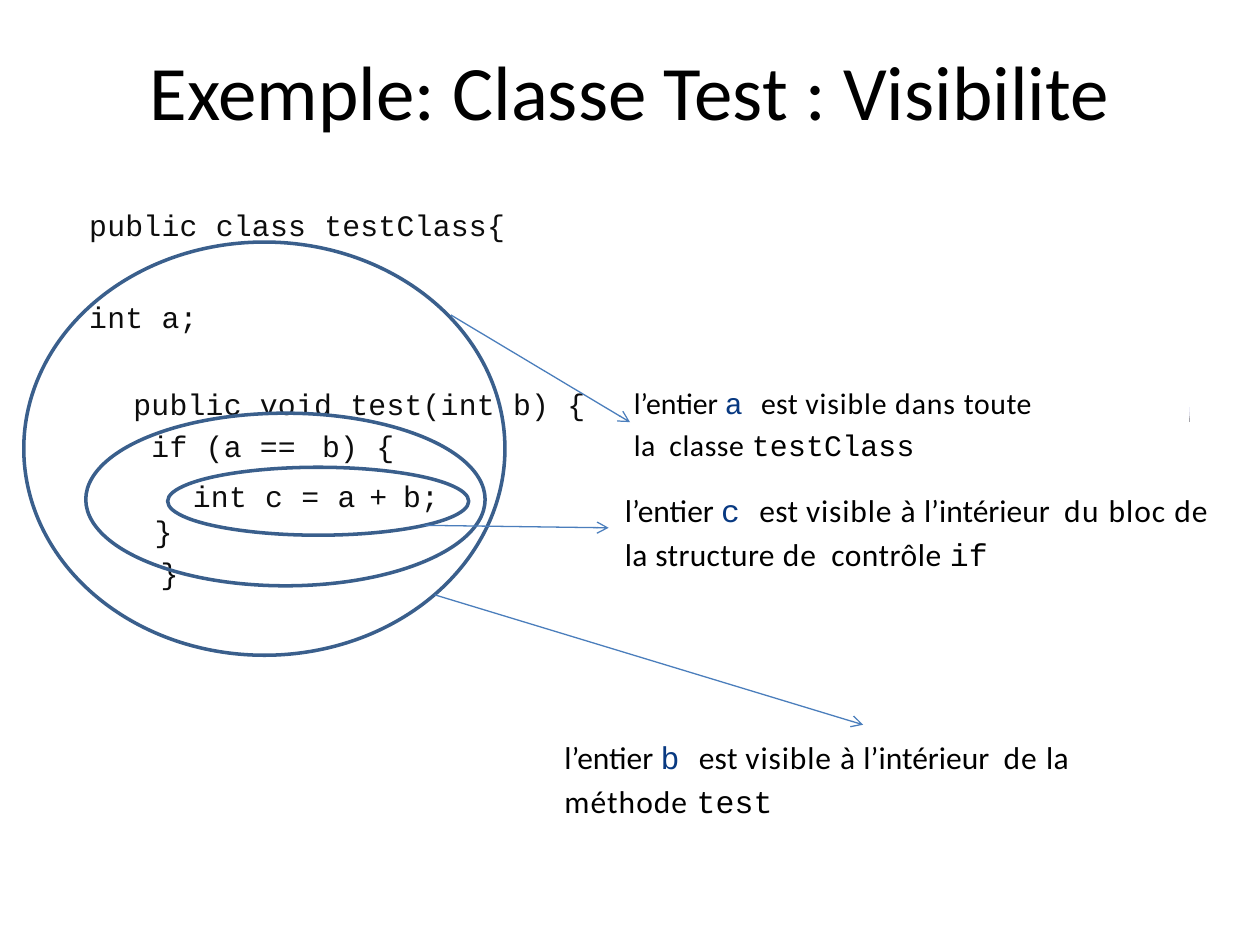
from dataclasses import dataclass
from itertools import pairwise

from lxml import etree
from pptx import Presentation
from pptx.dml.color import RGBColor
from pptx.enum.shapes import MSO_CONNECTOR, MSO_SHAPE
from pptx.enum.text import MSO_ANCHOR, PP_ALIGN
from pptx.oxml.ns import qn
from pptx.util import Cm, Pt

STRAIGHT = MSO_CONNECTOR.STRAIGHT
ELLIPSE = MSO_SHAPE.OVAL
TOP = MSO_ANCHOR.TOP
CENTER = PP_ALIGN.CENTER
LEFT = PP_ALIGN.LEFT


@dataclass(frozen=True)
class Theme:
    sans: str = "Calibri"
    mono: str = "Courier New"
    serif: str = "Cambria"
    text: str = "000000"
    code: str = "0D0D0D"
    variable: str = "083981"
    scope: str = "3A5F8C"
    arrow: str = "4B7EBC"
    title_size: float = 44
    code_size: float = 17
    gap_size: float = 20
    scope_width: float = 2
    arrow_width: float = 0.75
    tick_width: float = 0.25


THEME = Theme()

TITLE = "Exemple: Classe Test : Visibilite"
TITLE_BOX = (1.27, 0.76, 22.86, 3.18)


def code(text, spacing=0.1):
    """Describe a run of source code."""
    return text, THEME.mono, THEME.code_size, THEME.code, spacing


CLASS_INDENT = (0.94, -0.89)
METHOD_INDENT = (1.96, -1.02)
NOTE_INDENT = (0.08, 0)

CODE_BOXES = [
    ((1.75, 3.96, 12.45, 5.36), 0.08, [
        (CLASS_INDENT, 1.17, 0, [code("public class testClass{")]),
        (CLASS_INDENT, 1.17, 28.9, [code("int a;")]),
        (METHOD_INDENT, 1.02, 29, [code("public void test(int b) {")]),
        (METHOD_INDENT, 1.02, 0, [
            code(" if (a == "),
            (" ", THEME.serif, THEME.gap_size, THEME.code, -0.2),
            code("b) {"),
        ]),
    ]),
    ((3.81, 9.55, 5.64, 0.81), 0.08, [
        (NOTE_INDENT, 1, 0, [code("int c = "), code("a + ", -1.2), code("b;")]),
    ]),
    ((1.7, 10.16, 5.54, 1.75), 0.18, [
        ((1.42, 0), 1, 0, [code("}")]),
        (NOTE_INDENT, 1, 3.5, [code("    }")]),
    ]),
]

NOTES = [
    ((12.7, 7.59, 8.26, 1.8), 0, 0.05, 17, "a",
     [("visible dans ", 0.5), ("toute ", 0.3), ("la", 0.2), (" ", 4), ("classe ", 0.3)],
     "testClass"),
    ((11.05, 14.61, 12.7, 2.06), 0.25, 0.13, 18, "b",
     [("visible ", 0.5), ("à ", 0.3), ("l’intérieur", 0), (" ", 4), ("de ", 0.6),
      ("la ", 0.2), ("méthode ", 0.6)],
     "test"),
    ((12.27, 9.63, 12.6, 2.06), 0.25, 0.13, 18, "c",
     [("visible ", 0.5), ("à ", 0.3), ("l’intérieur", 0), (" ", 4), ("du ", 0.8),
      ("bloc de ", 0.6), ("la structure ", 0.2), ("de", 0.6), (" ", 4),
      ("contrôle ", 0.3)],
     "if"),
]

SCOPES = [
    (1.73, 8.33, 8.05, 3.48),
    (0.48, 4.88, 9.7, 8.33),
    (3.38, 9.42, 6.07, 1.37),
]

ARROWS = [
    (8.76, 11.99, 17.4, 14.61),
    (9.09, 6.35, 12.7, 8.51),
    (8.56, 10.59, 12.27, 10.64),
]

TICK_X = 23.98
TICK_LEVELS = [8.51, 8.43, 8.38, 8.31, 8.2]
TICK_COLORS = ["A5A5AB", "C2C2C9", "E1E1EA", "EFEFF9"]


def lengths(values):
    return [Cm(value) for value in values]


def add_run(paragraph, text, font_name, size, color, spacing=0):
    run = paragraph.add_run()
    run.text = text
    run.font.name = font_name
    run.font.size = Pt(size)
    run.font.color.rgb = RGBColor.from_string(color)
    if spacing:
        run._r.get_or_add_rPr().set("spc", str(round(spacing * 100)))


def add_text(slide, box, side_inset, top_inset, paragraphs):
    frame = slide.shapes.add_textbox(*lengths(box)).text_frame
    frame.word_wrap = True
    frame.vertical_anchor = TOP
    frame.margin_left = frame.margin_right = Cm(side_inset)
    frame.margin_top, frame.margin_bottom = Cm(top_inset), 0
    for index, (indent, line_spacing, space_before, runs) in enumerate(paragraphs):
        paragraph = frame.add_paragraph() if index else frame.paragraphs[0]
        paragraph.alignment = LEFT
        paragraph.line_spacing = line_spacing
        paragraph.space_before = Pt(space_before)
        properties = paragraph._p.get_or_add_pPr()
        for name, value in zip(("marL", "indent"), indent):
            properties.set(name, str(Cm(value)))
        for run in runs:
            add_run(paragraph, *run)


def add_note(slide, box, side_inset, top_inset, size, variable, words, scope_name):
    runs = [
        ("l’entier ", THEME.sans, size, THEME.text, 0),
        (f"{variable} ", THEME.mono, size, THEME.variable, 0.1),
        ("est ", THEME.sans, size, THEME.text, 0.2),
    ]
    runs += [(text, THEME.sans, size, THEME.text, spacing) for text, spacing in words]
    runs.append((scope_name, THEME.mono, size, THEME.text, 0.1))
    add_text(slide, box, side_inset, top_inset, [(NOTE_INDENT, 1.17, 0, runs)])


def add_scope(slide, box):
    shape = slide.shapes.add_shape(ELLIPSE, *lengths(box))
    shape.shadow.inherit = False
    shape.fill.background()
    shape.line.color.rgb = RGBColor.from_string(THEME.scope)
    shape.line.width = Pt(THEME.scope_width)


def add_line(slide, ends, color, width, arrow=False):
    connector = slide.shapes.add_connector(STRAIGHT, *lengths(ends))
    connector.line.color.rgb = RGBColor.from_string(color)
    connector.line.width = Pt(width)
    properties = connector._element.spPr
    if arrow:
        etree.SubElement(properties.find(qn("a:ln")), qn("a:tailEnd"), type="arrow")
    etree.SubElement(properties, qn("a:effectLst"))


def add_title(slide):
    title = slide.shapes.title
    title.left, title.top, title.width, title.height = lengths(TITLE_BOX)
    title.text_frame.vertical_anchor = TOP
    paragraph = title.text_frame.paragraphs[0]
    paragraph.alignment = CENTER
    add_run(paragraph, TITLE, THEME.sans, THEME.title_size, THEME.text)


def main():
    """Build the slide on variable visibility in a class."""
    presentation = Presentation()
    presentation.slide_width, presentation.slide_height = Cm(25.4), Cm(19.05)
    slide = presentation.slides.add_slide(presentation.slide_layouts[5])
    add_title(slide)
    for box, top_inset, paragraphs in CODE_BOXES:
        add_text(slide, box, 0, top_inset, paragraphs)
    for (start, end), color in zip(pairwise(TICK_LEVELS), TICK_COLORS):
        add_line(slide, (TICK_X, start, TICK_X, end), color, THEME.tick_width)
    for note in NOTES:
        add_note(slide, *note)
    for box in SCOPES:
        add_scope(slide, box)
    for ends in ARROWS:
        add_line(slide, ends, THEME.arrow, THEME.arrow_width, arrow=True)
    presentation.save("out.pptx")


if __name__ == "__main__":
    main()
